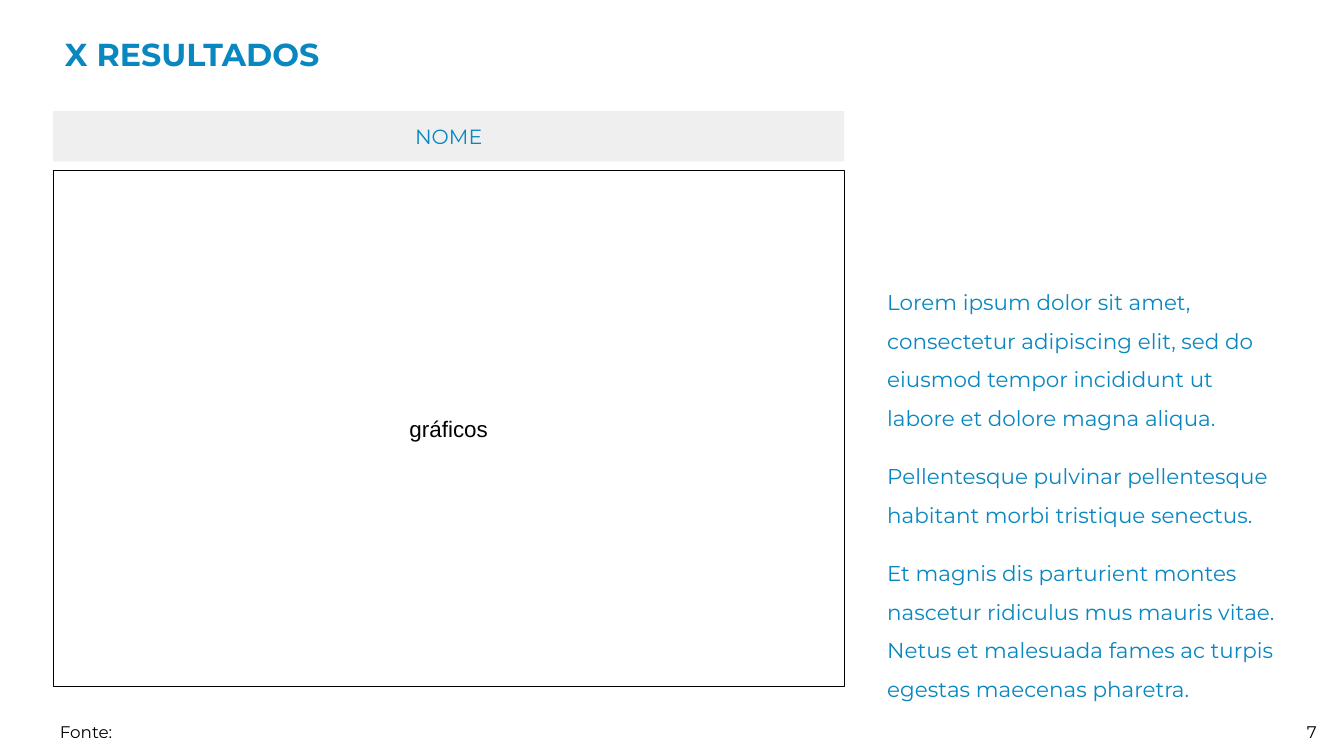
import pptx
import pptx.dml.color
import pptx.enum.shapes
import pptx.enum.text
import pptx.util

Pt = pptx.util.Pt
ALIGN = pptx.enum.text.PP_ALIGN
ANCHOR = pptx.enum.text.MSO_ANCHOR

COLOURS = {"blue": "0887C0", "grey": "EFEFEF", "black": "000000"}
LEFT = 57
PANEL_WIDTH = 847.5
FOOTER_TOP, FOOTER_HEIGHT = 747.5, 62.5

COMMENTS = [
    "Lorem ipsum dolor sit amet, consectetur adipiscing elit, sed do eiusmod "
    "tempor incididunt ut labore et dolore magna aliqua.",
    "Pellentesque pulvinar pellentesque habitant morbi tristique senectus.",
    "Et magnis dis parturient montes nascetur ridiculus mus mauris vitae. "
    "Netus et malesuada fames ac turpis egestas maecenas pharetra.",
]


def colour(name):
    return pptx.dml.color.RGBColor.from_string(COLOURS[name])


def write_text(frame, paragraphs, size, ink="black", font="Montserrat", bold=False,
               align=ALIGN.LEFT, anchor=ANCHOR.MIDDLE, line_spacing=1.0,
               gap=0, inset=(7.2, 7.2)):
    """Fill a text frame; gap separates paragraphs, inset is (sides, top and bottom)."""
    frame.word_wrap = True
    frame.vertical_anchor = anchor
    frame.margin_left = frame.margin_right = Pt(inset[0])
    frame.margin_top = frame.margin_bottom = Pt(inset[1])
    for index, text in enumerate(paragraphs):
        para = frame.add_paragraph() if index else frame.paragraphs[0]
        para.alignment = align
        para.line_spacing = line_spacing
        if index:
            para.space_before = Pt(gap)
        span = para.add_run()
        span.text = text
        span.font.name = font
        span.font.size = Pt(size)
        span.font.bold = bold
        span.font.color.rgb = colour(ink)


class SlideBuilder:
    def __init__(self, slide):
        self.slide = slide

    def text(self, left, top, width, height, paragraphs, **style):
        box = self.slide.shapes.add_textbox(Pt(left), Pt(top), Pt(width), Pt(height))
        write_text(box.text_frame, paragraphs, **style)

    def panel(self, top, height, label, fill=None, line=None, **style):
        """Add a main-column rectangle with a centred label."""
        box = self.slide.shapes.add_shape(
            pptx.enum.shapes.MSO_SHAPE.RECTANGLE,
            Pt(LEFT), Pt(top), Pt(PANEL_WIDTH), Pt(height))
        box.shadow.inherit = False
        if fill:
            box.fill.solid()
            box.fill.fore_color.rgb = colour(fill)
        else:
            box.fill.background()
        if line:
            box.line.color.rgb = colour(line)
            box.line.width = Pt(0.75)
        else:
            box.line.fill.background()
        write_text(box.text_frame, [label], align=ALIGN.CENTER, **style)

    def footer(self, left, width, label, align=ALIGN.LEFT):
        self.text(left, FOOTER_TOP, width, FOOTER_HEIGHT, [label],
                  size=18, align=align, line_spacing=1.5)


def main():
    deck = pptx.Presentation()
    deck.slide_width, deck.slide_height = Pt(1440), Pt(810)
    page = SlideBuilder(deck.slides.add_slide(deck.slide_layouts[6]))

    page.text(LEFT, 19.5, 587.5, 82, ["X RESULTADOS"], size=34, ink="blue",
              bold=True, line_spacing=0.9, inset=(12.6, 6.3))
    page.panel(119, 54, "NOME", fill="grey", size=22, ink="blue")
    page.panel(182, 553.5, "gráficos", line="black", size=24, font="Arial")
    page.footer(1371, 69, "7", align=ALIGN.CENTER)
    page.footer(LEFT, 778.5, "Fonte:")
    page.text(943.5, 235.5, 440.5, 523.5, COMMENTS, size=23, ink="blue",
              anchor=ANCHOR.BOTTOM, line_spacing=1.5, gap=21)

    deck.save("out.pptx")


if __name__ == "__main__":
    main()
